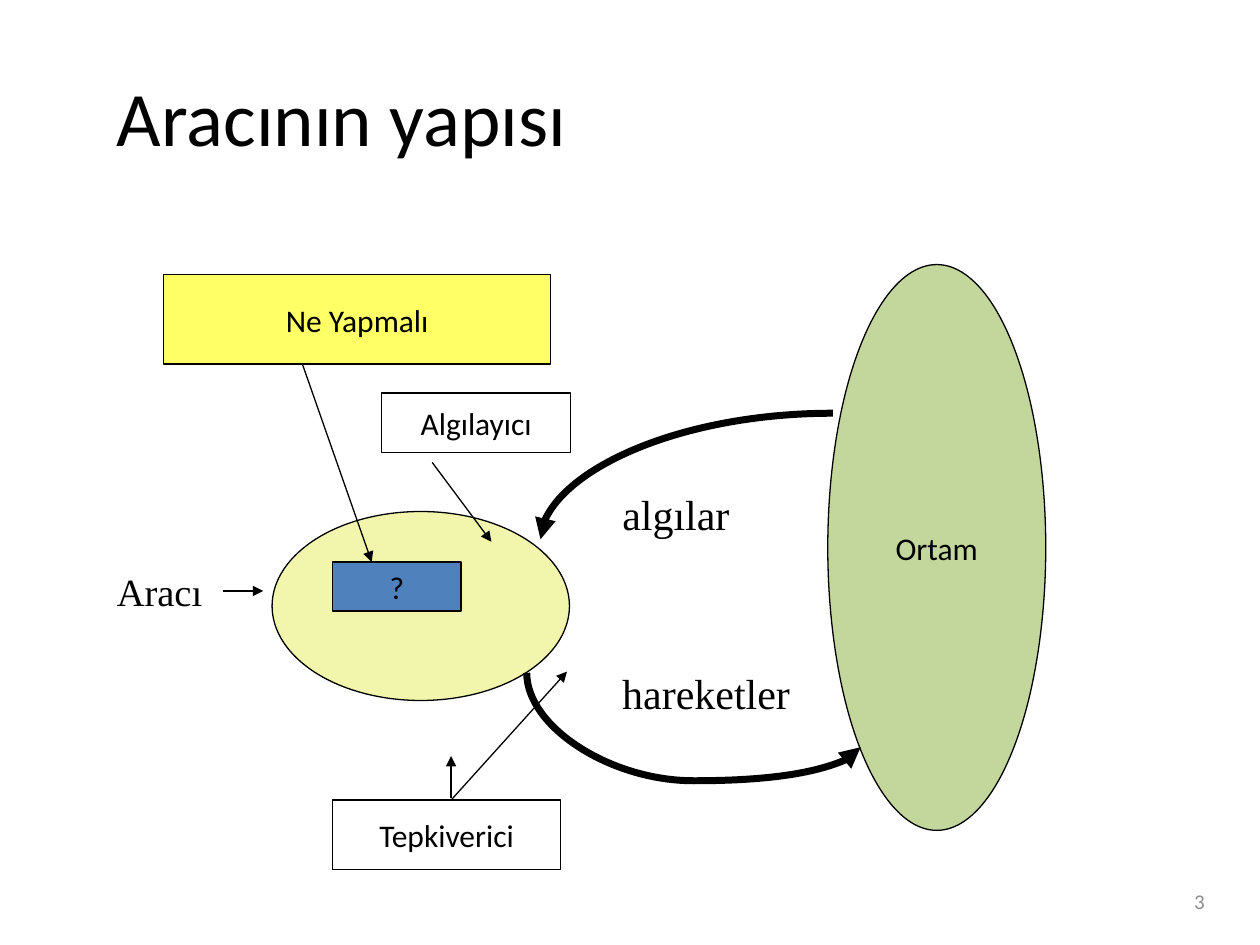
from lxml.etree import SubElement
from pptx import Presentation
from pptx.dml.color import RGBColor
from pptx.enum.shapes import MSO_CONNECTOR, MSO_SHAPE
from pptx.enum.text import MSO_ANCHOR, PP_ALIGN
from pptx.oxml.ns import qn
from pptx.util import Inches, Pt

COLORS = {"ink": "000000", "env": "C3D69B", "agent": "F2F6AC", "unknown": "4F81BD",
          "label": "FFFFFF", "todo": "FFFF66", "number": "8C8C8C"}

prs = Presentation()
prs.slide_width, prs.slide_height = Inches(10), Inches(7.5)
s = prs.slides.add_slide(prs.slide_layouts[6])
U = prs.slide_width / 100  # square grid: 100 columns by 75 rows


def put_text(sp, text, size=18, font="Calibri", color="ink",
             align=PP_ALIGN.LEFT, anchor=MSO_ANCHOR.MIDDLE, wrap=True):
    tf = sp.text_frame
    tf.word_wrap = wrap
    tf.vertical_anchor = anchor
    p = tf.paragraphs[0]
    p.alignment = align
    r = p.add_run()
    r.text = text
    r.font.size, r.font.name = Pt(size), font
    r.font.color.rgb = RGBColor.from_string(COLORS[color])


def add_arrow(kind, ends, width):
    """Connector from the first to the second grid point, with a head at its end."""
    c = s.shapes.add_connector(kind, *(round(v * U) for v in ends))
    c.line.width = Pt(width)
    c.line.color.rgb = RGBColor.from_string(COLORS["ink"])
    SubElement(c.line._get_or_add_ln(), qn("a:tailEnd"), type="triangle")
    SubElement(c._element.spPr, qn("a:effectLst"))
    return c


# Title, captions and slide number
serif = dict(font="Times New Roman", anchor=MSO_ANCHOR.TOP)
for text, box, style in [
    ("Aracının yapısı", (8.3, 2.9, 88.3, 12.5), dict(size=44)),
    ("Aracı", (8.3, 44.6, 9.4, 4.7), dict(size=22, **serif)),
    ("algılar", (48.4, 38.3, 10.5, 5), dict(size=24, wrap=False, **serif)),
    ("hareketler", (48.4, 52.5, 15.3, 5), dict(size=24, wrap=False, **serif)),
    ("3", (73.3, 69.5, 23.3, 4), dict(size=12, color="number", align=PP_ALIGN.RIGHT)),
]:
    put_text(s.shapes.add_textbox(*(round(v * U) for v in box)), text, **style)

# Environment, agent and the boxes around them
for text, kind, box, fill in [
    ("Ortam", MSO_SHAPE.OVAL, (65.7, 21, 17.3, 44.9), "env"),
    ("", MSO_SHAPE.OVAL, (21.6, 40.6, 23.6, 15), "agent"),
    ("?", MSO_SHAPE.RECTANGLE, (26.4, 44.6, 10.2, 3.9), "unknown"),
    ("Algılayıcı", MSO_SHAPE.RECTANGLE, (30.3, 31.2, 15, 4.7), "label"),
    ("Tepkiverici", MSO_SHAPE.RECTANGLE, (26.4, 63.5, 18.1, 5.5), "label"),
    ("Ne Yapmalı", MSO_SHAPE.RECTANGLE, (13, 21.8, 30.7, 7.1), "todo"),
]:
    sp = s.shapes.add_shape(kind, *(round(v * U) for v in box))
    sp.shadow.inherit = False
    sp.fill.solid()
    sp.fill.fore_color.rgb = RGBColor.from_string(COLORS[fill])
    sp.line.width = Pt(0.75)
    sp.line.color.rgb = RGBColor.from_string(COLORS["ink"])
    if text:
        put_text(sp, text, align=PP_ALIGN.CENTER, wrap=False)

# Percepts: a quarter curve from environment to agent
percepts = add_arrow(MSO_CONNECTOR.CURVE, (66.1, 32.8, 42.9, 42.8), 4)
percepts._element.spPr.find(qn("a:prstGeom")).set("prst", "curvedConnector2")

# Actions: an upright curve turned to lie below agent and environment
actions = add_arrow(MSO_CONNECTOR.CURVE, (58, 43.1, 52.1, 69.6), 4)
actions.rotation = 270
actions._element.spPr.find(qn("a:xfrm")).set("rot", str(270 * 60000))
guides = actions._element.spPr.find(qn("a:prstGeom")).find(qn("a:avLst"))
SubElement(guides, qn("a:gd"), name="adj1", fmla="val 145100")

# Pointers from the labels to the parts of the agent
for ends in [
    (34.3, 36.7, 39, 43),
    (24, 28.9, 29.5, 44.6),
    (35.8, 63.5, 45, 53.3),
    (35.8, 63.3, 35.8, 60),
    (17.7, 46.9, 20.9, 46.9),
]:
    add_arrow(MSO_CONNECTOR.STRAIGHT, ends, 0.75)

prs.save("out.pptx")
